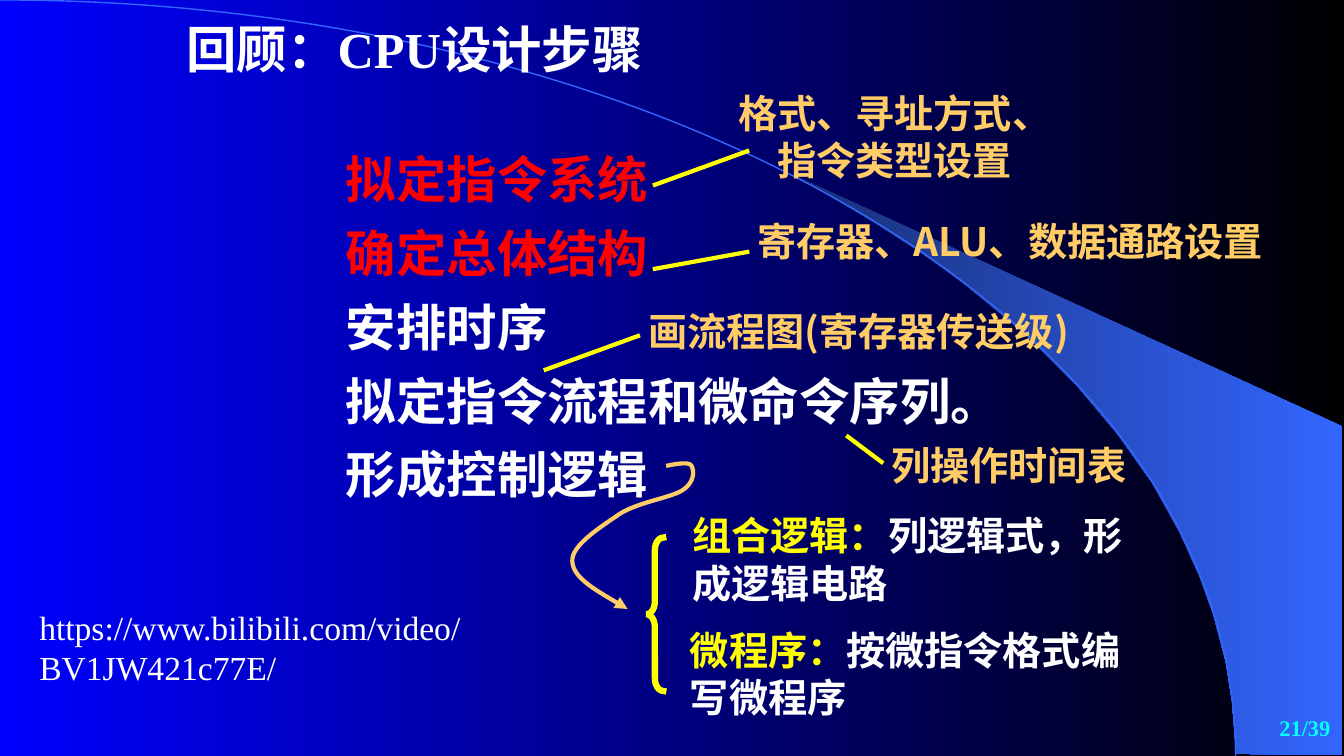
import pptx
import pptx.util
import pptx.dml.color
import pptx.enum.shapes
import pptx.enum.text
import pptx.oxml
import pptx.oxml.ns

Pt = pptx.util.Pt
ALIGN = pptx.enum.text.PP_ALIGN
NAMESPACE = pptx.oxml.ns.nsdecls("a")
SERIF = "Times New Roman"
SANS = "Noto Sans CJK SC"
COLOURS = {
    name: pptx.dml.color.RGBColor.from_string(value)
    for name, value in {
        "blue": "0000FF", "black": "000000", "navy": "182F76", "sky": "3366FF",
        "white": "FFFFFF", "red": "FF0000", "yellow": "FFFF00",
        "orange": "FFCC66", "cyan": "00FFFF",
    }.items()
}


def write(para, runs, size, align=ALIGN.LEFT, bold=True):
    para.alignment = align
    for text, colour, face in runs:
        span = para.add_run()
        span.text = text
        span.font.size = Pt(size)
        span.font.bold = bold
        span.font.name = face
        span.font.color.rgb = COLOURS[colour]
        east_asian = pptx.oxml.parse_xml(f'<a:ea {NAMESPACE} typeface="{SANS}"/>')
        span.font._element.find(pptx.oxml.ns.qn("a:latin")).addnext(east_asian)


def style_line(shape, colour, width):
    shape.line.color.rgb = COLOURS[colour]
    shape.line.width = Pt(width)
    outline = shape.line._get_or_add_ln()
    outline.set("cap", "sq")
    outline.append(pptx.oxml.parse_xml(f'<a:miter {NAMESPACE} lim="800000"/>'))
    return outline


deck = pptx.Presentation()
deck.slide_width = Pt(960.48)
deck.slide_height = Pt(540)
page = deck.slides.add_slide(deck.slide_layouts[1])

wedge_points = [
    (883.5, 538.5), (959.5, 539.5), (959.5, 304.8), (566, 124.5), (599, 143.5),
    (626.5, 160), (657.5, 180), (687.5, 201.5), (731.5, 237.5), (770.5, 276.5),
    (799, 310.5), (823.5, 345), (843, 380), (857.5, 412), (867, 438.5),
    (876, 472.5), (880.5, 501),
]
wedge_points = [(x * 100, y * 100) for x, y in wedge_points]
builder = page.shapes.build_freeform(*wedge_points[0], scale=Pt(0.01))
builder.add_line_segments(wedge_points[1:], close=True)
wedge = builder.convert_to_shape()
wedge.shadow.inherit = False
wedge.line.fill.background()

for fill, names in ((page.background.fill, ("blue", "black")), (wedge.fill, ("navy", "sky"))):
    fill.gradient()
    fill.gradient_angle = 0
    for stop, name in zip(fill.gradient_stops, names):
        stop.color.rgb = COLOURS[name]

curves = [
    ((0, 0), [((487.5, 0), (883, 241), (883, 539.5))], "sky", 1),
    ((477.5, 332.5), [
        ((484.5, 331), (492.5, 330), (494, 332.5)),
        ((496, 335.5), (497, 344), (488, 350)),
        ((480, 355.5), (456.5, 358.5), (443, 367)),
        ((430, 376), (408, 389.5), (409, 401)),
        ((409.5, 412.5), (429, 423.5), (448.5, 435)),
    ], "orange", 3),
]
for start, pieces, colour, width in curves:
    knots = [start] + [piece[-1] for piece in pieces]
    left, top = (min(knot[axis] for knot in knots) for axis in (0, 1))
    builder = page.shapes.build_freeform(start[0] * 100, start[1] * 100, scale=Pt(0.01))
    builder.add_line_segments([(x * 100, y * 100) for x, y in knots[1:]], close=False)
    curve = builder.convert_to_shape()
    curve.shadow.inherit = False
    curve.fill.background()
    segments = list(curve._element.iter(pptx.oxml.ns.qn("a:lnTo")))
    for segment, piece in zip(segments, pieces):
        corners = "".join(
            f'<a:pt x="{round((x - left) * 100)}" y="{round((y - top) * 100)}"/>' for x, y in piece)
        segment.getparent().replace(segment, pptx.oxml.parse_xml(
            f'<a:cubicBezTo {NAMESPACE}>{corners}</a:cubicBezTo>'))
    outline = style_line(curve, colour, width)
    if colour == "orange":
        outline.append(pptx.oxml.parse_xml(f'<a:tailEnd {NAMESPACE} type="triangle"/>'))

title = page.shapes.title
body = page.placeholders[1]
for holder, place in ((title, (126, 9.5, 461.5, 50.5)), (body, (240, 114, 510, 248.5))):
    holder.left, holder.top, holder.width, holder.height = map(Pt, place)
    holder.text_frame.word_wrap = True
    holder.text_frame.auto_size = pptx.enum.text.MSO_AUTO_SIZE.NONE
    holder.text_frame.vertical_anchor = pptx.enum.text.MSO_ANCHOR.TOP
    holder.element.getparent().append(holder.element)

write(title.text_frame.paragraphs[0], [("回顾：CPU设计步骤", "white", SERIF)], 36)

steps = [
    ("拟定指令系统", "red"), ("确定总体结构", "red"), ("安排时序", "white"),
    ("拟定指令流程和微命令序列。", "white"), ("形成控制逻辑", "white"),
]
for index, (text, colour) in enumerate(steps):
    para = body.text_frame.paragraphs[0] if index == 0 else body.text_frame.add_paragraph()
    properties = para._p.get_or_add_pPr()
    properties.set("marL", "0")
    properties.set("indent", "0")
    properties.append(pptx.oxml.parse_xml(f'<a:buNone {NAMESPACE}/>'))
    para.line_spacing = 0.7
    para.space_before = Pt(22.5 if index else 0)
    write(para, [(text, colour, SERIF)], 36)

labels = [
    ((516.25, 60, 246.25, 75), [("格式、寻址方式、指令类型设置", "orange", SERIF)],
     28, ALIGN.CENTER, True),
    ((533, 152, 377.5, 75), [("寄存器、", "orange", SERIF), ("ALU", "orange", SANS),
                             ("、数据通路设置", "orange", SERIF)], 28, ALIGN.CENTER, True),
    ((456, 216, 348, 48), [("画流程图", "orange", SERIF), ("(寄存器传送级)", "orange", SANS)],
     28, ALIGN.LEFT, True),
    ((630, 312, 186, 36), [("列操作时间表", "orange", SANS)], 28, ALIGN.LEFT, True),
    ((487.75, 362, 328.5, 75), [("组合逻辑：", "yellow", SANS),
                                ("列逻辑式，形成逻辑电路", "white", SANS)], 28, ALIGN.LEFT, True),
    ((486, 444, 340, 75), [("微程序：", "yellow", SANS),
                           ("按微指令格式编写微程序", "white", SANS)], 28, ALIGN.LEFT, True),
    ((757.75, 506.5, 200, 32.5), [("21/39", "cyan", SERIF)], 16, ALIGN.RIGHT, True),
    ((21, 430, 351.5, 65), [("https://www.bilibili.com/video/BV1JW421c77E/", "white", SERIF)],
     24, ALIGN.LEFT, False),
]
boxes = []
for place, runs, size, align, bold in labels:
    box = page.shapes.add_textbox(*map(Pt, place))
    box.text_frame.word_wrap = True
    write(box.text_frame.paragraphs[0], runs, size, align, bold)
    boxes.append(box)

pointers = [
    ((468, 132, 534, 108), None),
    ((468, 192, 534, 180), None),
    ((390, 264, 456, 240), boxes[2]),
    ((606, 312, 630, 330), boxes[3]),
]
for ends, target in pointers:
    pointer = page.shapes.add_connector(pptx.enum.shapes.MSO_CONNECTOR.STRAIGHT, *map(Pt, ends))
    if target is not None:
        pointer.end_connect(target, 1)
    style_line(pointer, "yellow", 3)
    pointer._element.spPr.append(pptx.oxml.parse_xml(f'<a:effectLst {NAMESPACE}/>'))

brace = page.shapes.add_shape(
    pptx.enum.shapes.MSO_SHAPE.LEFT_BRACE, Pt(462), Pt(384), Pt(12), Pt(109.5))
brace.shadow.inherit = False
brace.adjustments[0] = 0.75
brace.fill.background()
style_line(brace, "yellow", 4.5)

deck.save("out.pptx")
